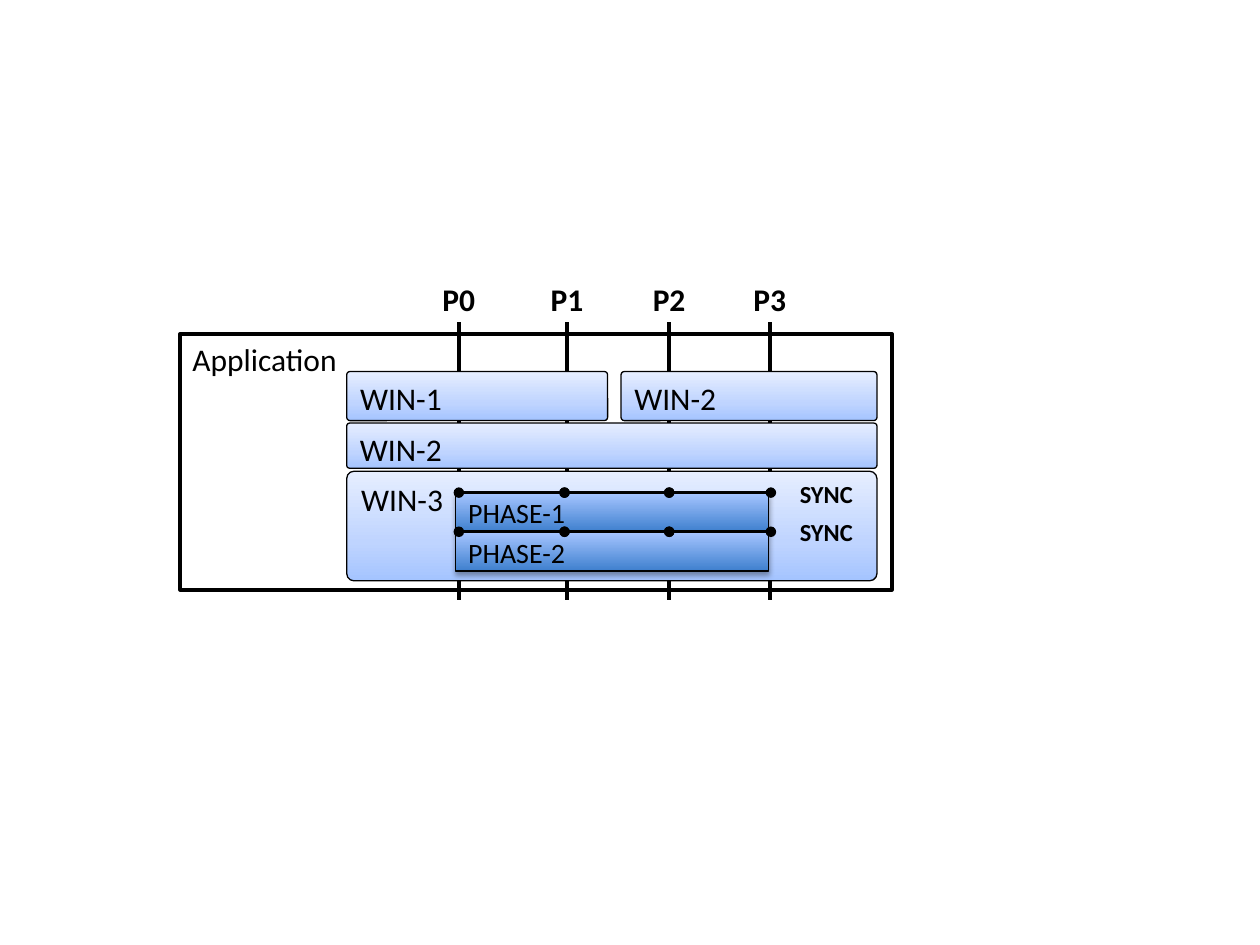
from copy import deepcopy
from dataclasses import dataclass
from itertools import pairwise

from lxml import etree
from pptx import Presentation
from pptx.dml.color import RGBColor
from pptx.enum.shapes import MSO_CONNECTOR, MSO_SHAPE
from pptx.enum.text import MSO_ANCHOR, PP_ALIGN
from pptx.oxml.ns import qn
from pptx.util import Cm, Pt

STRAIGHT = MSO_CONNECTOR.STRAIGHT
RECTANGLE = MSO_SHAPE.RECTANGLE
ROUNDED = MSO_SHAPE.ROUNDED_RECTANGLE
TOP, MIDDLE = MSO_ANCHOR.TOP, MSO_ANCHOR.MIDDLE
LEFT, CENTER = PP_ALIGN.LEFT, PP_ALIGN.CENTER


@dataclass(frozen=True)
class Theme:
    font: str = "Calibri"
    ink: str = "000000"
    paper: str = "FFFFFF"
    window_stops: tuple = ((0, "A4C4FF"), (0.35, "BFD4FF"), (1, "E6EEFF"))
    phase_stops: tuple = ((0, "3F80CE"), (1, "A4C4FF"))
    label_size: int = 18
    phase_size: int = 16
    sync_size: int = 14
    thick: float = 2
    thin: float = 0.75


THEME = Theme()
PROCESS_COLUMNS = (9.25, 11.43, 13.49, 15.52)
SYNC_COLUMNS = (9.25, 11.38, 13.49, 15.54)
PHASE_TOP = 9.95
PHASE_STEP = 0.79


def write_text(shape, text, size=THEME.label_size, bold=False, align=LEFT,
               anchor=TOP, wrap=True):
    frame = shape.text_frame
    frame.word_wrap = wrap
    frame.vertical_anchor = anchor
    paragraph = frame.paragraphs[0]
    paragraph.alignment = align
    run = paragraph.add_run()
    run.text = text
    run.font.name = THEME.font
    run.font.size = Pt(size)
    run.font.bold = bold
    run.font.color.rgb = RGBColor.from_string(THEME.ink)


def set_line(line, width):
    line.color.rgb = RGBColor.from_string(THEME.ink)
    line.width = Pt(width)


def add_label(slide, box, text, **text_format):
    label = slide.shapes.add_textbox(*map(Cm, box))
    write_text(label, text, align=CENTER, bold=True, **text_format)


def add_box(slide, kind, box, line_width, text, **text_format):
    shape = slide.shapes.add_shape(kind, *map(Cm, box))
    shape.shadow.inherit = False
    set_line(shape.line, line_width)
    write_text(shape, text, **text_format)
    return shape


def fill_gradient(shape, stops):
    shape.fill.gradient()
    shape.fill.gradient_angle = 90
    stop_list = next(shape._element.spPr.iter(qn("a:gsLst")))
    while len(stop_list) < len(stops):
        stop_list.append(deepcopy(stop_list[0]))
    for stop, (position, color) in zip(shape.fill.gradient_stops, stops):
        stop.position = position
        stop.color.rgb = RGBColor.from_string(color)


def add_shadow(shape):
    effects = shape._element.spPr.find(qn("a:effectLst"))
    shadow = etree.SubElement(effects, qn("a:outerShdw"), blurRad="40000",
                              dist="23000", dir="5400000", rotWithShape="0")
    color = etree.SubElement(shadow, qn("a:srgbClr"), val=THEME.ink)
    etree.SubElement(color, qn("a:alpha"), val="35000")


def add_line(slide, start, end, dotted_ends=False):
    connector = slide.shapes.add_connector(STRAIGHT, *map(Cm, start + end))
    set_line(connector.line, THEME.thick)
    properties = connector._element.spPr
    if dotted_ends:
        outline = properties.find(qn("a:ln"))
        for end_tag in ("a:headEnd", "a:tailEnd"):
            etree.SubElement(outline, qn(end_tag), type="oval")
    etree.SubElement(properties, qn("a:effectLst"))


def add_application(slide):
    application = add_box(slide, ROUNDED, (3.63, 6.73, 14.35, 5.16),
                          THEME.thick, "Application")
    application.adjustments[0] = 0
    application.fill.solid()
    application.fill.fore_color.rgb = RGBColor.from_string(THEME.paper)


def add_processes(slide):
    for number, x in enumerate(PROCESS_COLUMNS):
        add_label(slide, (x - 0.78, 5.56, 1.56, 0.94), f"P{number}",
                  anchor=MIDDLE)
        add_line(slide, (x, 6.5), (x, 12.1))


def add_window(slide, box, text):
    window = add_box(slide, ROUNDED, box, THEME.thin, text)
    window.adjustments[0] = 0.067
    fill_gradient(window, THEME.window_stops)


def add_phase(slide, number):
    top = PHASE_TOP + (number - 1) * PHASE_STEP
    phase = add_box(slide, RECTANGLE, (9.19, top, 6.3, 0.77), THEME.thin,
                    f"PHASE-{number}", size=THEME.phase_size, anchor=MIDDLE)
    fill_gradient(phase, THEME.phase_stops)
    add_shadow(phase)
    sync_y = top - 0.02
    for start, end in pairwise(SYNC_COLUMNS):
        add_line(slide, (start, sync_y), (end, sync_y), dotted_ends=True)


def main():
    presentation = Presentation()
    presentation.slide_width = Cm(25.4)
    presentation.slide_height = Cm(19.05)
    slide = presentation.slides.add_slide(presentation.slide_layouts[6])

    add_application(slide)
    add_processes(slide)
    add_window(slide, (6.99, 7.49, 5.26, 0.99), "WIN-1")
    add_window(slide, (12.52, 7.49, 5.16, 0.99), "WIN-2")
    add_window(slide, (6.99, 9.5, 10.69, 2.21), "WIN-3")
    add_window(slide, (6.99, 8.53, 10.69, 0.91), "WIN-2")
    for top in (9.53, 10.29):
        add_label(slide, (15.67, top, 1.98, 0.66), "SYNC",
                  size=THEME.sync_size, wrap=False)
    for number in (1, 2):
        add_phase(slide, number)

    presentation.save("out.pptx")


if __name__ == "__main__":
    main()
